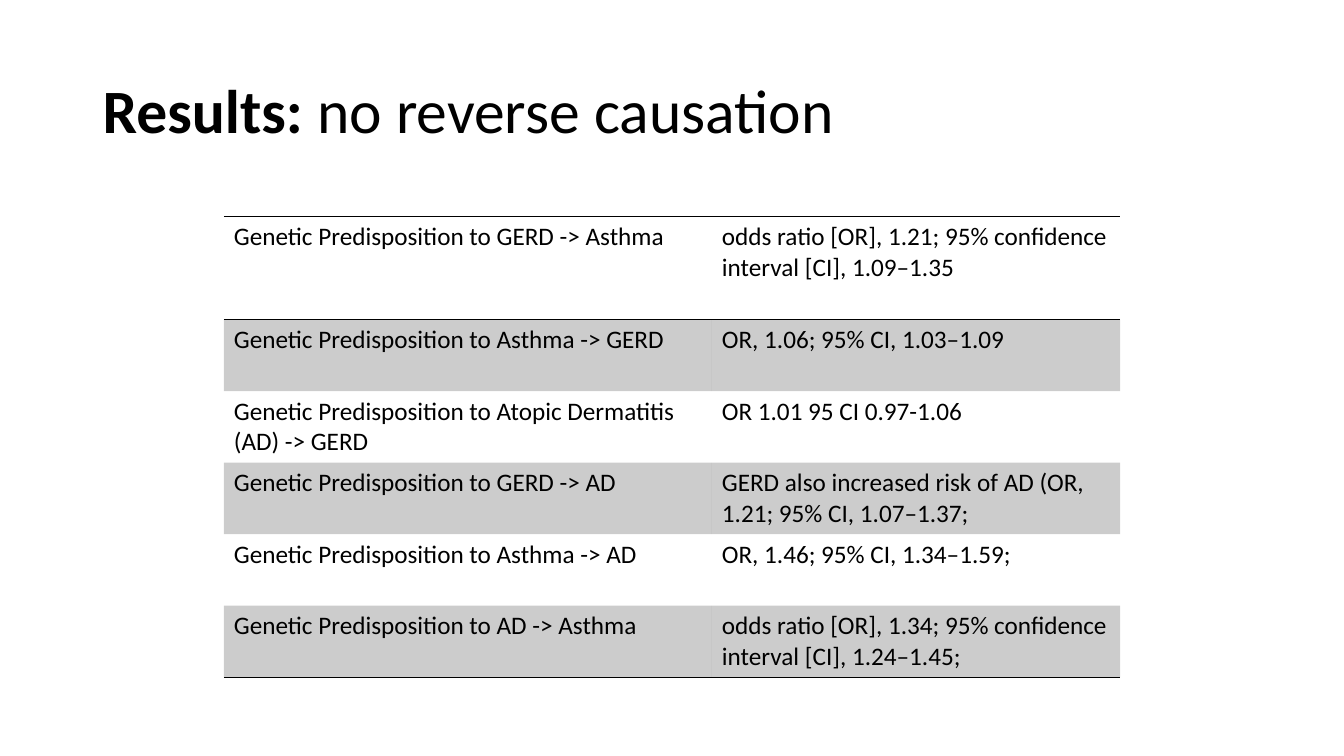
"""Build the results slide with a table of genetic predisposition odds ratios."""
import pptx
import pptx.dml.color
import pptx.enum.text
import pptx.oxml.ns
import pptx.util
from lxml import etree

Inches = pptx.util.Inches
qn = pptx.oxml.ns.qn
BLACK = "000000"
NO_STYLE = "{2D5ABB26-0587-4C30-8999-92F81FD0307C}"


def color(value):
    return pptx.dml.color.RGBColor.from_string(value)


def add_border(cell, side):
    line = etree.SubElement(cell._tc.get_or_add_tcPr(), qn(f"a:{side}"), w="12700")
    fill = etree.SubElement(line, qn("a:solidFill"))
    etree.SubElement(fill, qn("a:srgbClr"), val=BLACK)


deck = pptx.Presentation()
deck.slide_width = Inches(13.33)
deck.slide_height = Inches(7.5)
page = deck.slides.add_slide(deck.slide_layouts[6])

title = page.shapes.add_textbox(Inches(0.92), Inches(0.4), Inches(11.5), Inches(1.45))
title.text_frame.word_wrap = True
title.text_frame.vertical_anchor = pptx.enum.text.MSO_ANCHOR.MIDDLE
para = title.text_frame.paragraphs[0]
para.line_spacing = 0.9
for text, bold in [("Results: ", True), ("no reverse causation", False)]:
    span = para.add_run()
    span.text = text
    span.font.name = "Calibri"
    span.font.size = pptx.util.Pt(44)
    span.font.bold = bold
    span.font.color.rgb = color(BLACK)

results = [
    ("Genetic Predisposition to GERD -> Asthma",
     "odds ratio [OR], 1.21; 95% confidence interval [CI], 1.09–1.35"),
    ("Genetic Predisposition to Asthma -> GERD", "OR, 1.06; 95% CI, 1.03–1.09"),
    ("Genetic Predisposition to Atopic Dermatitis (AD) -> GERD", "OR 1.01 95 CI 0.97-1.06"),
    ("Genetic Predisposition to GERD -> AD",
     "GERD also increased risk of AD (OR, 1.21; 95% CI, 1.07–1.37;"),
    ("Genetic Predisposition to Asthma -> AD", "OR, 1.46; 95% CI, 1.34–1.59;"),
    ("Genetic Predisposition to AD -> Asthma",
     "odds ratio [OR], 1.34; 95% confidence interval [CI], 1.24–1.45;"),
]
last = len(results) - 1
frame = page.shapes.add_table(len(results), 2, Inches(2.22), Inches(2.15), Inches(8.89), Inches(4.57))
table = frame.table
table._tbl.tblPr.find(qn("a:tableStyleId")).text = NO_STYLE
table.columns[0].width = Inches(4.84)
table.columns[1].width = Inches(4.05)

for row, texts in enumerate(results):
    table.rows[row].height = Inches(1.02 if row == 0 else 0.71)
    for column, text in enumerate(texts):
        cell = table.cell(row, column)
        cell.text_frame.text = text
        span = cell.text_frame.paragraphs[0].runs[0]
        span.font.name = "Calibri"
        span.font.size = pptx.util.Pt(18)
        span.font.color.rgb = color(BLACK)
        if row == 0:
            add_border(cell, "lnT")
        if row in (0, last):
            add_border(cell, "lnB")
        if row % 2:
            cell.fill.solid()
            cell.fill.fore_color.rgb = color(BLACK)
            shade = cell._tc.tcPr.find(qn("a:solidFill")).find(qn("a:srgbClr"))
            etree.SubElement(shade, qn("a:alpha"), val="20000")
        else:
            cell.fill.background()

deck.save("out.pptx")
